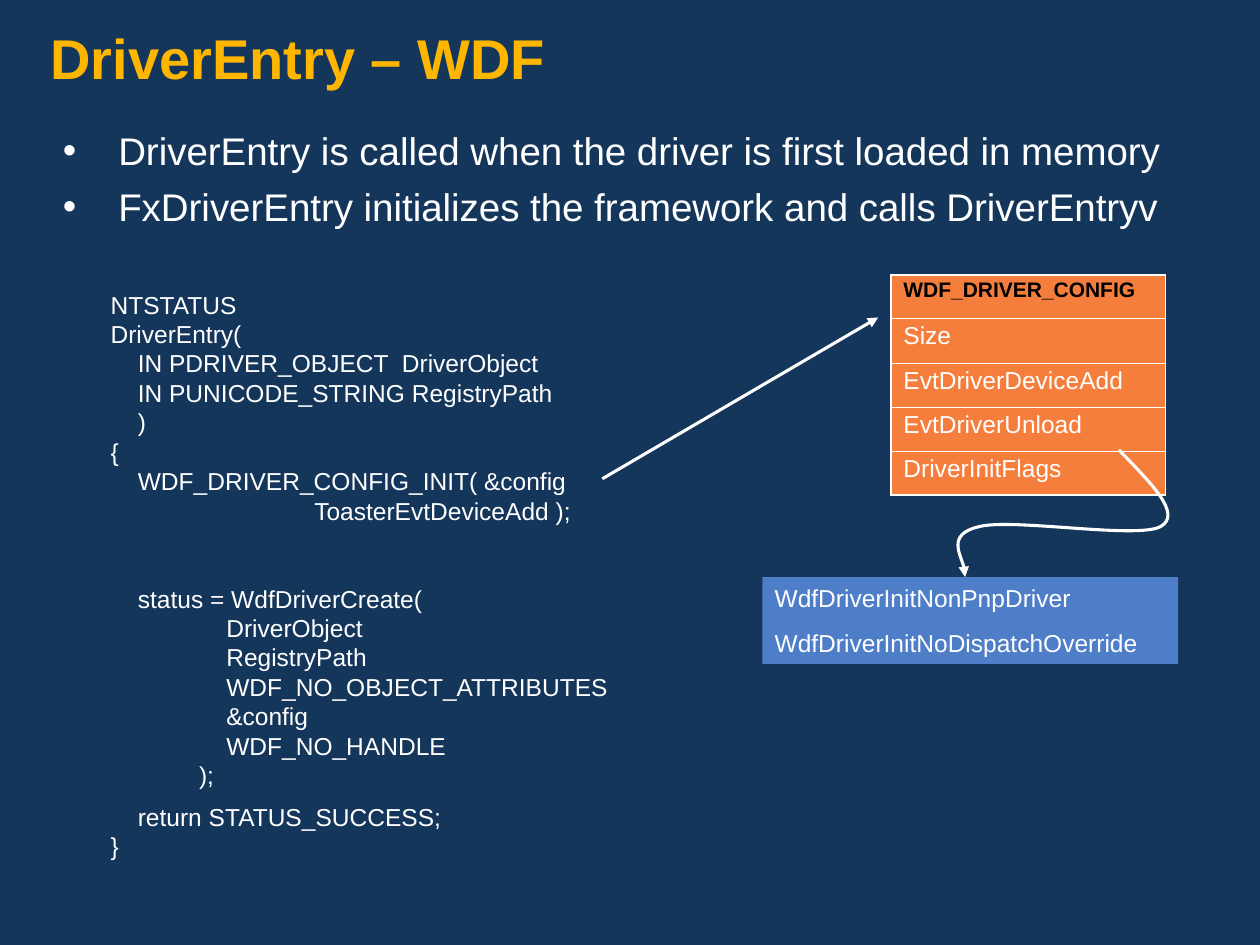
from lxml import etree
from pptx import Presentation
from pptx.dml.color import RGBColor
from pptx.enum.shapes import MSO_CONNECTOR, MSO_SHAPE
from pptx.enum.text import MSO_ANCHOR, PP_ALIGN
from pptx.oxml.ns import qn
from pptx.util import Inches, Pt

STRAIGHT = MSO_CONNECTOR.STRAIGHT
RECTANGLE = MSO_SHAPE.RECTANGLE
TOP = MSO_ANCHOR.TOP
LEFT = PP_ALIGN.LEFT

COLORS = {
    "background": "15365B",
    "title": "FFB601",
    "text": "FFFFFF",
    "header": "000000",
    "table": "F67E3C",
    "flags": "5E91E4",
}
BULLETS = [
    "DriverEntry is called when the driver is first loaded in memory",
    "FxDriverEntry initializes the framework and calls DriverEntryv",
]
CODE = """NTSTATUS
DriverEntry(
    IN PDRIVER_OBJECT  DriverObject
    IN PUNICODE_STRING RegistryPath
    )
{
    WDF_DRIVER_CONFIG_INIT( &config
                              ToasterEvtDeviceAdd );
    status = WdfDriverCreate(
                 DriverObject
                 RegistryPath
                 WDF_NO_OBJECT_ATTRIBUTES
                 &config
                 WDF_NO_HANDLE
             );
    return STATUS_SUCCESS;
}""".split("\n")
CODE_GAPS = {"    status = WdfDriverCreate(": 33.5, "    return STATUS_SUCCESS;": 7}
CONFIG_FIELDS = ["WDF_DRIVER_CONFIG", "Size", "EvtDriverDeviceAdd",
                 "EvtDriverUnload", "DriverInitFlags"]
INIT_FLAGS = ["WdfDriverInitNonPnpDriver", "WdfDriverInitNoDispatchOverride"]
FLAG_CURVE = [(8.88, 3.57),
              (9.13, 3.83), (9.39, 4.08), (9.21, 4.18),
              (9.02, 4.28), (8.03, 4.11), (7.77, 4.18),
              (7.51, 4.24), (7.68, 4.51), (7.66, 4.58)]


def color(name):
    return RGBColor.from_string(COLORS[name])


def set_all(target, values):
    for name, value in values.items():
        setattr(target, name, value)


def add_bullet(para):
    props = para._p.get_or_add_pPr()
    props.set("marL", str(Inches(0.44)))
    props.set("indent", str(-Inches(0.44)))
    etree.SubElement(props, qn("a:buFont"), typeface="Arial")
    etree.SubElement(props, qn("a:buChar"), char="•")


def write_lines(frame, lines, size, font_color="text", bold=False,
                spacing=1.0, gap=0, gaps=None, bullets=False):
    set_all(frame, {"word_wrap": True, "vertical_anchor": TOP})
    for index, line in enumerate(lines):
        para = frame.paragraphs[0] if index == 0 else frame.add_paragraph()
        before = (gaps or {}).get(line, gap) if index else 0
        set_all(para, {"text": line, "alignment": LEFT, "line_spacing": spacing,
                       "space_before": Pt(before)})
        if bullets:
            add_bullet(para)
        set_all(para.font, {"name": "Arial", "size": Pt(size), "bold": bold})
        para.font.color.rgb = color(font_color)


def add_title(page, text):
    title = page.shapes.title
    set_all(title, {"left": 0, "top": 0, "width": Inches(10), "height": Inches(0.75)})
    set_all(title.text_frame, {"margin_left": Inches(0.4), "margin_right": Inches(0.4),
                               "margin_top": Inches(0.25), "margin_bottom": Inches(0.05)})
    write_lines(title.text_frame, [text], 32, "title", bold=True, spacing=0.9)


def add_text(page, left, top, width, height, lines, size, **options):
    box = page.shapes.add_textbox(Inches(left), Inches(top), Inches(width), Inches(height))
    write_lines(box.text_frame, lines, size, **options)


def add_borders(cell, widths):
    props = cell._tc.get_or_add_tcPr()
    for side, width in widths.items():
        border = etree.SubElement(props, qn("a:" + side), w=str(Pt(width)))
        fill = etree.SubElement(border, qn("a:solidFill"))
        etree.SubElement(fill, qn("a:srgbClr"), val=COLORS["text"])


def add_config_table(page):
    count = len(CONFIG_FIELDS)
    table = page.shapes.add_table(count, 1, Inches(7.07), Inches(2.18),
                                  Inches(2.18), Inches(0.35 * count)).table
    set_all(table, {"first_row": False, "horz_banding": False})
    for row, field in enumerate(CONFIG_FIELDS):
        cell = table.cell(row, 0)
        header = row == 0
        write_lines(cell.text_frame, [field], 12 if header else 14,
                    "header" if header else "text", bold=header, spacing=0.9)
        add_borders(cell, {"lnL": 1.08, "lnR": 1.08,
                           "lnT": 1.08 if header else 0.45,
                           "lnB": 1.08 if row == count - 1 else 0.45})
        cell.fill.solid()
        cell.fill.fore_color.rgb = color("table")


def add_flags_box(page):
    box = page.shapes.add_shape(RECTANGLE, Inches(6.05), Inches(4.58),
                                Inches(3.3), Inches(0.69))
    box.shadow.inherit = False
    box.fill.solid()
    box.fill.fore_color.rgb = color("flags")
    shade = box._element.spPr.find(qn("a:solidFill")).find(qn("a:srgbClr"))
    etree.SubElement(shade, qn("a:alpha"), val="80000")
    box.line.fill.background()
    write_lines(box.text_frame, INIT_FLAGS, 14, gap=8.8)


def style_arrow(arrow):
    arrow.line.color.rgb = color("text")
    arrow.line.width = Pt(1.75)
    etree.SubElement(arrow.line._get_or_add_ln(), qn("a:tailEnd"), type="triangle")
    etree.SubElement(arrow._element.spPr, qn("a:effectLst"))


def add_straight_arrow(page, start, end):
    style_arrow(page.shapes.add_connector(
        STRAIGHT, *[Inches(value) for value in start + end]))


def add_curved_arrow(page, points):
    places = [(Inches(x), Inches(y)) for x, y in points]
    builder = page.shapes.build_freeform(*places[0])
    builder.add_line_segments(places[1:], close=False)
    curve = builder.convert_to_shape()
    curve.fill.background()
    segments = list(curve._element.spPr.iter(qn("a:lnTo")))
    for index in range(0, len(segments), 3):
        bezier = etree.Element(qn("a:cubicBezTo"))
        segments[index].addprevious(bezier)
        for segment in segments[index:index + 3]:
            bezier.append(segment[0])
            segment.getparent().remove(segment)
    style_arrow(curve)


def main():
    deck = Presentation()
    set_all(deck, {"slide_width": Inches(10), "slide_height": Inches(7.5)})
    page = deck.slides.add_slide(deck.slide_layouts[5])
    page.background.fill.solid()
    page.background.fill.fore_color.rgb = color("background")
    add_title(page, "DriverEntry – WDF")
    add_text(page, 0.4, 1, 9.21, 0.88, BULLETS, 22, spacing=0.9, gap=8.2, bullets=True)
    add_text(page, 0.78, 2.25, 5.1, 4.64, CODE, 14, gaps=CODE_GAPS)
    add_config_table(page)
    add_flags_box(page)
    add_curved_arrow(page, FLAG_CURVE)
    add_straight_arrow(page, (4.78, 3.8), (6.97, 2.52))
    deck.save("out.pptx")


if __name__ == "__main__":
    main()
